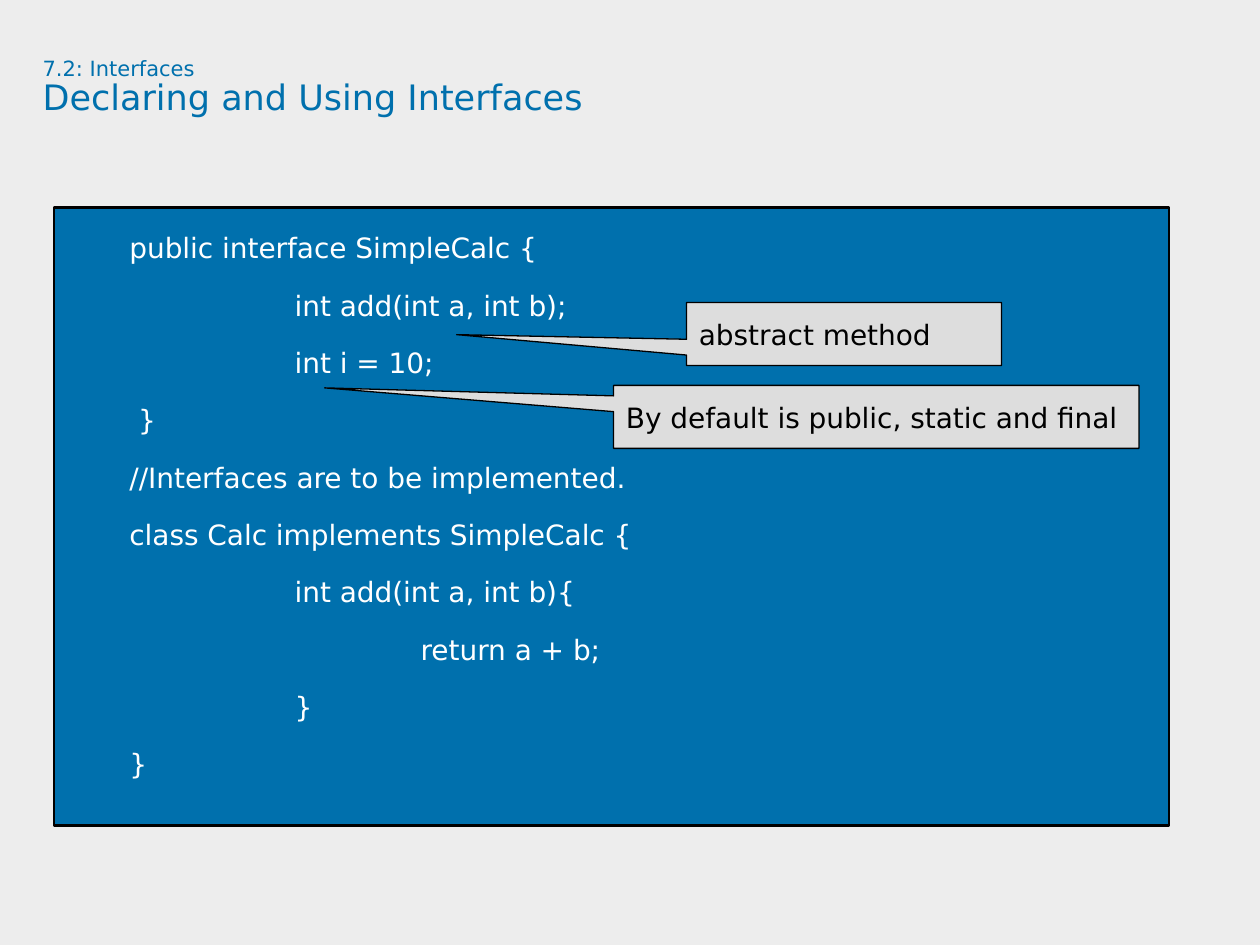
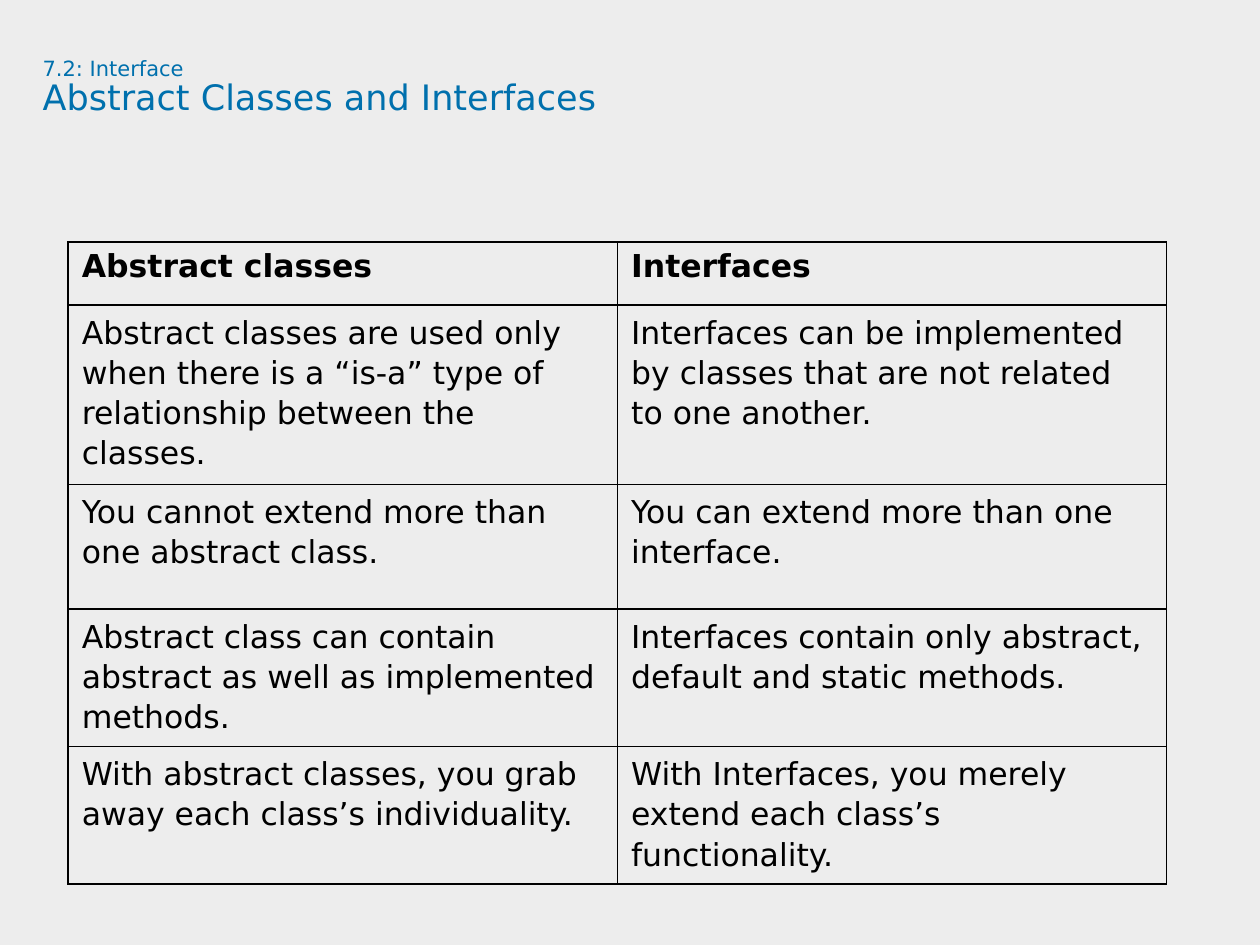
"""Build two slides on Java interfaces: declaring them, and comparing them with abstract classes."""
from lxml.etree import SubElement
from pptx import Presentation
from pptx.dml.color import RGBColor
from pptx.enum.shapes import MSO_SHAPE
from pptx.enum.text import MSO_ANCHOR, PP_ALIGN
from pptx.oxml.ns import qn
from pptx.util import Cm, Pt

BLUE = RGBColor(0x00, 0x70, 0xAD)
PAPER = RGBColor(0xED, 0xED, 0xED)
GREY = RGBColor(0xDD, 0xDD, 0xDD)
BLACK = RGBColor(0x00, 0x00, 0x00)
WHITE = RGBColor(0xFF, 0xFF, 0xFF)
FONT = "DejaVu Sans"

DECLARING = ("7.2: Interfaces", "Declaring and Using Interfaces")
COMPARING = ("7.2: Interface", "Abstract Classes and Interfaces")

CODE = [
    (0, "public interface SimpleCalc {"),
    (1, "int add(int a, int b);"),
    (1, "int i = 10;"),
    (0, " }"),
    (0, "//Interfaces are to be implemented."),
    (0, "class Calc implements SimpleCalc {"),
    (1, "int add(int a, int b){"),
    (2, "return a + b;"),
    (1, "}"),
    (0, "}"),
]
CODE_INDENTS = [Cm(1.27), Cm(4.6), Cm(7.14)]
CODE_BOX = (1.09, 4.19, 22.48, 12.45)

CALLOUTS = [
    ("By default is public, static and final", (12.37, 7.77, 10.59, 1.27), (-1.05, -0.46)),
    ("abstract method", (13.84, 6.1, 6.35, 1.27), (-1.23, 0.01)),
]

COMPARISON = [
    ("Abstract classes", "Interfaces"),
    ("Abstract classes are used only when there is a “is-a” type of relationship between the classes.",
     "Interfaces can be implemented by classes that are not related to one another."),
    ("You cannot extend more than one abstract class.",
     "You can extend more than one interface."),
    ("Abstract class can contain abstract as well as implemented methods.",
     "Interfaces contain only abstract, default and static methods."),
    ("With abstract classes, you grab away each class’s individuality.",
     "With Interfaces, you merely extend each class’s functionality."),
]
ROW_HEIGHTS = [1.27, 3.45, 2.51, 2.57, 2.36]
TABLE_BOX = (1.37, 4.88, 22.15, sum(ROW_HEIGHTS))


def cm(box):
    return [Cm(v) for v in box]


def style(p, size, color, spacing=None, bold=False):
    p.alignment = PP_ALIGN.LEFT
    if spacing:
        p.line_spacing = spacing
    for r in p.runs:
        r.font.name = FONT
        r.font.size = Pt(size)
        r.font.bold = bold
        r.font.color.rgb = color


def add_titled_slide(prs, title):
    s = prs.slides.add_slide(prs.slide_layouts[6])
    tf = s.shapes.add_textbox(*cm((0.86, 1.17, 23.09, 2.39))).text_frame
    tf.word_wrap = True
    tf.margin_left = tf.margin_top = tf.margin_right = tf.margin_bottom = 0
    tf.text = "\n".join(title)
    for p, size in zip(tf.paragraphs, (12, 20)):
        style(p, size, BLUE, 0.9)
    return s


def add_box(s, kind, box, adjustments, fill, line_width, anchor, text):
    sp = s.shapes.add_shape(kind, *cm(box))
    sp.shadow.inherit = False
    for i, value in enumerate(adjustments):
        sp.adjustments[i] = value
    sp.fill.solid()
    sp.fill.fore_color.rgb = fill
    sp.line.color.rgb = BLACK
    sp.line.width = Pt(line_width)
    tf = sp.text_frame
    tf.word_wrap = True
    tf.vertical_anchor = anchor
    tf.text = text
    return tf


def add_code(s):
    text = "\n".join(line for _, line in CODE)
    tf = add_box(s, MSO_SHAPE.ROUNDED_RECTANGLE, CODE_BOX, [0], BLUE, 1.5, MSO_ANCHOR.TOP, text)
    for p, (level, _) in zip(tf.paragraphs, CODE):
        style(p, 16, WHITE, 1.5)
        p.space_before = Pt(4)
        pPr = p._p.get_or_add_pPr()
        pPr.set("marL", str(CODE_INDENTS[level]))
        pPr.set("indent", "0")


def add_callouts(s):
    for text, box, tip in CALLOUTS:
        tf = add_box(s, MSO_SHAPE.RECTANGULAR_CALLOUT, box, tip, GREY, 0.75, MSO_ANCHOR.MIDDLE, text)
        style(tf.paragraphs[0], 16, BLACK)


def add_borders(cell):
    tcPr = cell._tc.get_or_add_tcPr()
    for i, side in enumerate(("lnL", "lnR", "lnT", "lnB")):
        ln = SubElement(tcPr, qn(f"a:{side}"), w=str(Pt(1)))
        fill = SubElement(ln, qn("a:solidFill"))
        SubElement(fill, qn("a:srgbClr"), val=str(BLACK))
        tcPr.insert(i, ln)


def add_comparison(s):
    table = s.shapes.add_table(len(COMPARISON), 2, *cm(TABLE_BOX)).table
    table.first_row = table.horz_banding = False
    for i, (texts, height) in enumerate(zip(COMPARISON, ROW_HEIGHTS)):
        table.rows[i].height = Cm(height)
        for j, text in enumerate(texts):
            cell = table.cell(i, j)
            cell.text = text
            cell.margin_left = cell.margin_right = Cm(0.28)
            cell.margin_top = cell.margin_bottom = Cm(0.13)
            cell.fill.background()
            add_borders(cell)
            style(cell.text_frame.paragraphs[0], 18, BLACK, 1.1 if i else None, bold=i == 0)


def main():
    prs = Presentation()
    prs.slide_width, prs.slide_height = Cm(25.4), Cm(19.05)
    background = prs.slide_master.background.fill
    background.solid()
    background.fore_color.rgb = PAPER

    s = add_titled_slide(prs, DECLARING)
    add_code(s)
    add_callouts(s)

    s = add_titled_slide(prs, COMPARING)
    add_comparison(s)

    prs.save("out.pptx")


if __name__ == "__main__":
    main()
